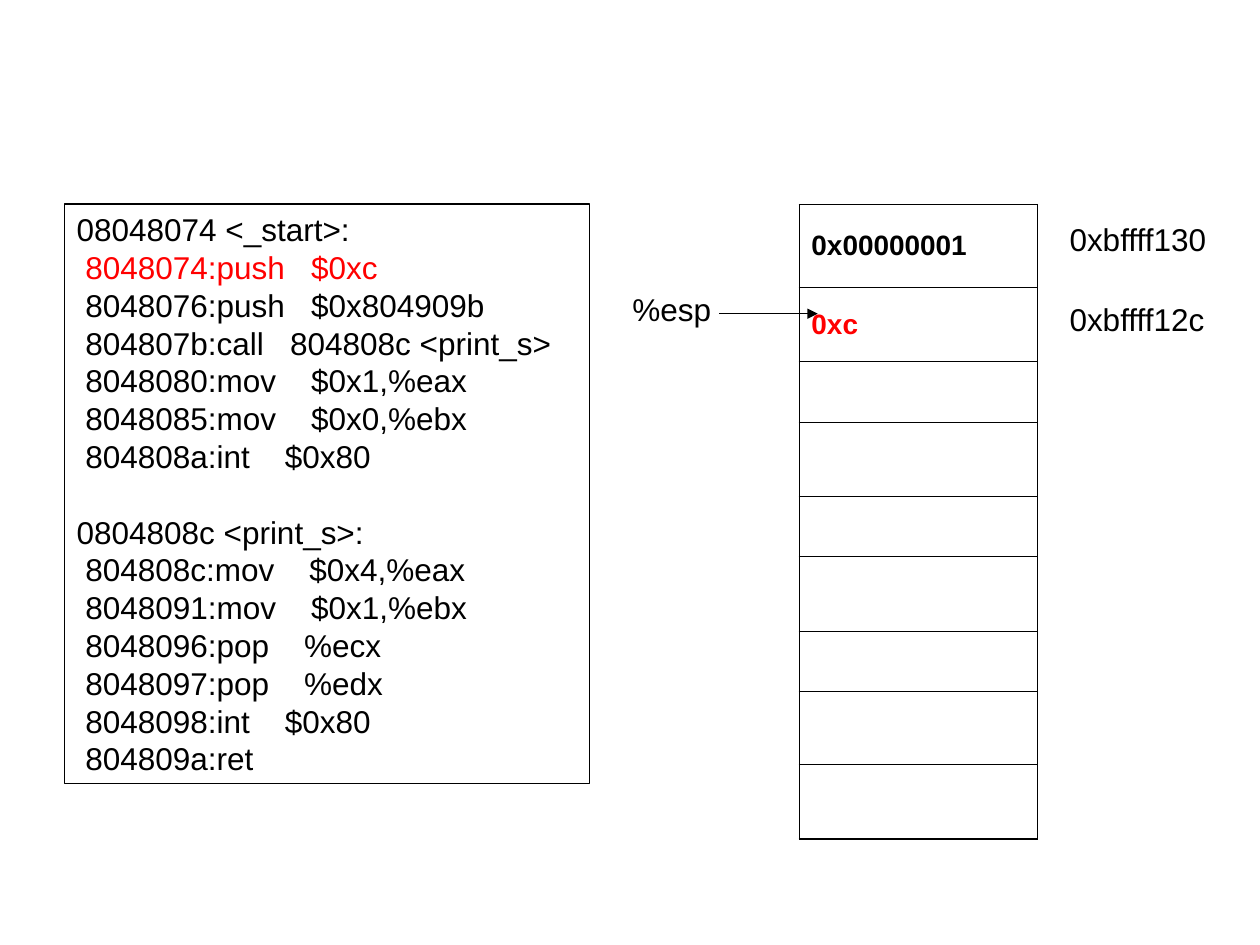
from lxml import etree
from pptx import Presentation
from pptx.dml.color import RGBColor
from pptx.enum.shapes import MSO_CONNECTOR, MSO_SHAPE
from pptx.enum.text import MSO_ANCHOR, PP_ALIGN
from pptx.oxml.ns import qn
from pptx.util import Inches, Pt

RECTANGLE, STRAIGHT = MSO_SHAPE.RECTANGLE, MSO_CONNECTOR.STRAIGHT
TOP, MIDDLE, LEFT = MSO_ANCHOR.TOP, MSO_ANCHOR.MIDDLE, PP_ALIGN.LEFT
BLACK, RED = "000000", "FF0000"
TOP_EDGE = 1.62      # shared by the code box and the stack
CODE_PITCH = 21.6    # points from one code line to the next


def color(hex_value):
    return RGBColor.from_string(hex_value)


def write(paragraph, text, size=18, ink=BLACK, bold=False):
    paragraph.alignment = LEFT
    span = paragraph.add_run()
    span.text = text
    span.font.name, span.font.size, span.font.bold = "Arial", Pt(size), bold
    span.font.color.rgb = color(ink)


deck = Presentation()
deck.slide_width, deck.slide_height = Inches(10), Inches(7.5)
page = deck.slides.add_slide(deck.slide_layouts[6])

# Disassembly, one list of lines per function
functions = [
    ["08048074 <_start>:",
     " 8048074:push   $0xc",
     " 8048076:push   $0x804909b",
     " 804807b:call   804808c <print_s>",
     " 8048080:mov    $0x1,%eax",
     " 8048085:mov    $0x0,%ebx",
     " 804808a:int    $0x80"],
    ["0804808c <print_s>:",
     " 804808c:mov    $0x4,%eax",
     " 8048091:mov    $0x1,%ebx",
     " 8048096:pop    %ecx",
     " 8048097:pop    %edx",
     " 8048098:int    $0x80",
     " 804809a:ret"],
]
current_line = functions[0][1]
code_box = page.shapes.add_shape(RECTANGLE, Inches(0.51), Inches(TOP_EDGE), Inches(4.17), Inches(4.6))
code_box.shadow.inherit = False
code_box.fill.background()
code_box.line.color.rgb = color(BLACK)
code_box.line.width = Pt(0.75)
code_frame = code_box.text_frame
code_frame.word_wrap = True
code_frame.vertical_anchor = TOP
for number, function in enumerate(functions):
    for line in function:
        first = line == functions[0][0]
        para = code_frame.paragraphs[0] if first else code_frame.add_paragraph()
        para.line_spacing = Pt(CODE_PITCH)
        if number and line == function[0]:
            para.space_before = Pt(CODE_PITCH)
        write(para, line, ink=RED if line == current_line else BLACK)

# Stack, highest address first
row_heights = [0.66, 0.59, 0.48, 0.59, 0.48, 0.59, 0.48, 0.58, 0.59]
stack_values = [("0x00000001", BLACK), ("0xc", RED)]
stack = page.shapes.add_table(len(row_heights), 1, Inches(6.34), Inches(TOP_EDGE),
                              Inches(1.89), Inches(sum(row_heights))).table
stack.first_row = stack.horz_banding = False
for index, height in enumerate(row_heights):
    stack.rows[index].height = Inches(height)
    cell = stack.cell(index, 0)
    cell.vertical_anchor = MIDDLE
    properties = cell._tc.get_or_add_tcPr()
    for side in ("lnL", "lnR", "lnT", "lnB"):
        closing = side == "lnB" and index == len(row_heights) - 1
        border = etree.SubElement(properties, qn(f"a:{side}"), w=str(Pt(1.08 if closing else 0.45)))
        fill = etree.SubElement(border, qn("a:solidFill"))
        etree.SubElement(fill, qn("a:srgbClr"), val=BLACK)
    cell.fill.background()
    if index < len(stack_values):
        value, ink = stack_values[index]
        write(cell.text_frame.paragraphs[0], value, size=16, ink=ink, bold=True)

# Addresses and the stack pointer label
for text, left, top, width in [("0xbffff130", 8.39, 1.7, 1.34),
                               ("%esp", 4.92, 2.25, 0.87),
                               ("0xbffff12c", 8.39, 2.33, 1.34)]:
    box = page.shapes.add_textbox(Inches(left), Inches(top), Inches(width), Inches(0.4))
    box.text_frame.word_wrap = True
    write(box.text_frame.paragraphs[0], text)

# Arrow from %esp to the top of the stack
arrow = page.shapes.add_connector(STRAIGHT, Inches(5.71), Inches(2.49), Inches(6.49), Inches(2.49))
arrow.line.color.rgb = color(BLACK)
arrow.line.width = Pt(0.75)
etree.SubElement(arrow.line._get_or_add_ln(), qn("a:tailEnd"), type="triangle")
etree.SubElement(arrow._element.spPr, qn("a:effectLst"))

deck.save("out.pptx")
